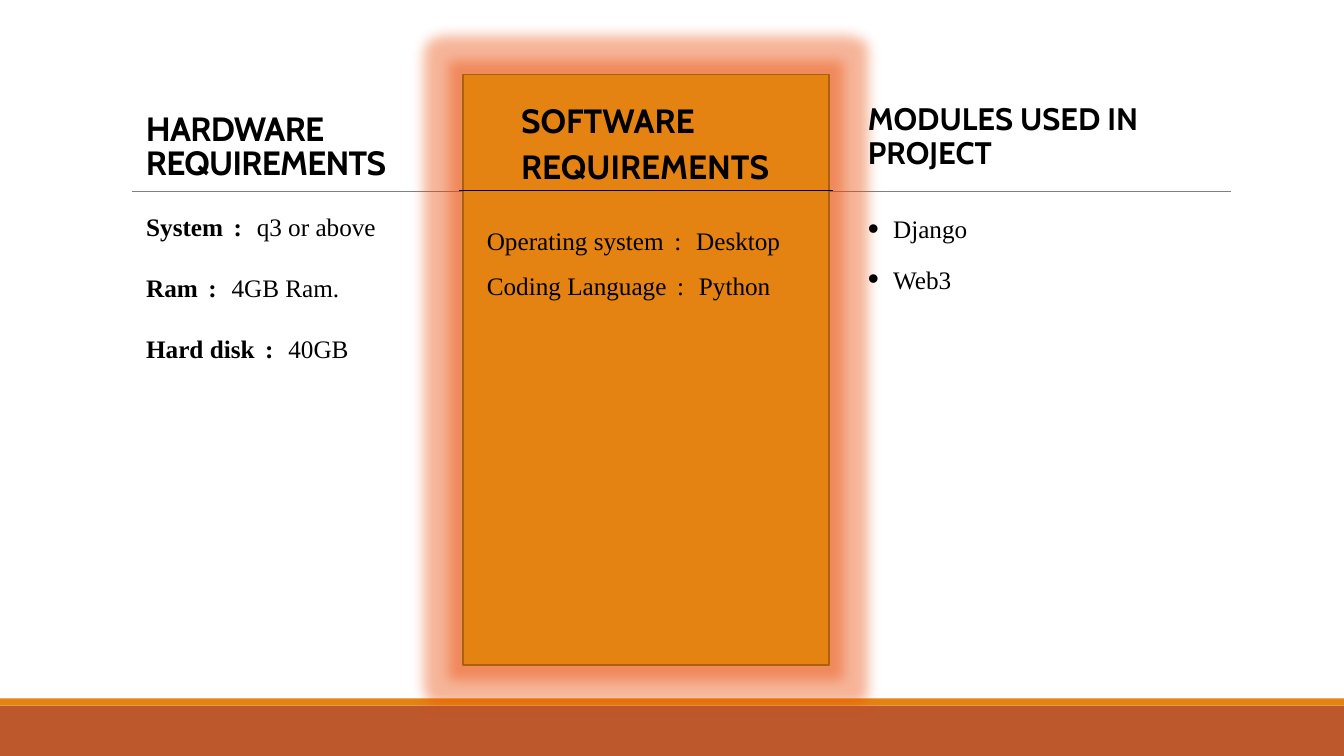
from dataclasses import dataclass

from lxml import etree
from pptx import Presentation
from pptx.dml.color import RGBColor
from pptx.enum.shapes import MSO_CONNECTOR, MSO_SHAPE
from pptx.enum.text import MSO_ANCHOR, MSO_AUTO_SIZE, PP_ALIGN
from pptx.oxml.ns import qn
from pptx.util import Pt

PX = 9144
STRAIGHT = MSO_CONNECTOR.STRAIGHT
RECTANGLE = MSO_SHAPE.RECTANGLE
TOP, MIDDLE, BOTTOM = MSO_ANCHOR.TOP, MSO_ANCHOR.MIDDLE, MSO_ANCHOR.BOTTOM
LEFT, JUSTIFY = PP_ALIGN.LEFT, PP_ALIGN.JUSTIFY
FIT_SHAPE, NO_FIT = MSO_AUTO_SIZE.SHAPE_TO_FIT_TEXT, MSO_AUTO_SIZE.NONE


@dataclass(frozen=True)
class Theme:
    """Colours, fonts and type sizes of the deck."""
    ink: str = "000000"
    rule: str = "808080"
    orange: str = "E48312"
    outline: str = "A9610D"
    rust: str = "BD582C"
    glow: str = "E94700"
    heading_font: str = "Cabin"
    body_font: str = "Times New Roman"
    heading: float = 24
    small_heading: float = 22.2
    body: float = 18


THEME = Theme()


def color(code):
    """Turn a hex code into a colour."""
    return RGBColor.from_string(code)


def add_node(parent, tag, **attributes):
    """Append a drawing element to a parent."""
    return etree.SubElement(parent, qn(tag), {key: str(value) for key, value in attributes.items()})


def add_panel(page, box, fill, line=None, weight=1.25):
    """Add a filled rectangle."""
    panel = page.shapes.add_shape(RECTANGLE, *(length * PX for length in box))
    panel.shadow.inherit = False
    panel.fill.solid()
    panel.fill.fore_color.rgb = color(fill)
    if line:
        panel.line.color.rgb = color(line)
        panel.line.width = Pt(weight)
    else:
        panel.line.fill.background()
    return panel


def add_glow(panel, code, radius, opacity):
    """Surround a panel with a soft glow."""
    effects = panel._element.spPr.find(qn("a:effectLst"))
    glow = add_node(effects, "a:glow", rad=radius * PX)
    tint = add_node(glow, "a:srgbClr", val=code)
    add_node(tint, "a:alpha", val=opacity * 1000)


def add_rule(page, left, right, top, code, weight):
    """Add a horizontal line."""
    rule = page.shapes.add_connector(STRAIGHT, left * PX, top * PX, right * PX, top * PX)
    rule.line.color.rgb = color(code)
    rule.line.width = Pt(weight)
    add_node(rule._element.spPr, "a:effectLst")


def add_text(page, box, paragraphs, size=THEME.body, font=THEME.body_font, bold=False,
             anchor=TOP, align=LEFT, line_spacing=None, before=0, after=0, inset=10,
             indent=0, bullet=None, tracking=0, fit=NO_FIT):
    """Add text; each paragraph is a list of (text, span format) pairs."""
    shape = page.shapes.add_textbox(*(length * PX for length in box))
    frame = shape.text_frame
    frame.word_wrap, frame.auto_size, frame.vertical_anchor = True, fit, anchor
    frame.margin_left = frame.margin_right = inset * PX
    frame.margin_top = frame.margin_bottom = 5 * PX
    for index, spans in enumerate(paragraphs):
        para = frame.add_paragraph() if index else frame.paragraphs[0]
        properties = para._p.get_or_add_pPr()
        if indent:
            properties.set("marL", str(indent * PX))
        if bullet:
            properties.set("indent", str(-indent * PX))
            add_node(properties, "a:buSzPct", val=125000)
            add_node(properties, "a:buFont", typeface="Arial")
            add_node(properties, "a:buChar", char=bullet)
        para.alignment = align
        para.space_before = Pt(before if index else 0)
        para.space_after = Pt(after)
        if line_spacing:
            para.line_spacing = line_spacing
        for text, style in spans:
            span = para.add_run()
            span.text = text
            span.font.name, span.font.size = font, Pt(size)
            span.font.bold = style.get("bold", bold)
            span.font.color.rgb = color(THEME.ink)
            spacing = style.get("tracking", tracking)
            if spacing:
                span.font._element.set("spc", str(round(spacing * 100)))


def add_heading(page, box, text, **style):
    """Add a bold column heading."""
    add_text(page, box, [[(text, {})]], **{
        "size": THEME.heading, "font": THEME.heading_font, "bold": True, **style})


def labelled(label, value, bold=False):
    """Build the spans of a label, a widely set colon and a value."""
    return [(label, {"bold": bold}), (" : ", {"bold": bold, "tracking": 3}), (value, {})]


def add_backdrop(page, box):
    """Add the footer bands and the rule under the headings."""
    left, top, width, height = box
    add_panel(page, (left, top + height - 50, width, 50), THEME.rust)
    add_panel(page, (left, top + height - 57, width, 7), THEME.orange)
    add_rule(page, left + 131, left + 1221, top + 190, THEME.rule, 0.5)


def add_hardware(page, box):
    """Add the hardware column."""
    left, top, width, _ = box
    add_heading(page, (left, top, width, 98), "HARDWARE REQUIREMENTS",
                anchor=BOTTOM, line_spacing=0.85, tracking=-0.5)
    items = [("System", "q3 or above"), ("Ram", "4GB Ram."), ("Hard disk", "40GB")]
    add_text(page, (left, top + 117, width, 195),
             [labelled(label, value, bold=True) for label, value in items],
             before=12, after=10, inset=0, indent=10)


def add_software(page, box):
    """Add the glowing software column."""
    left, top, width, _ = box
    panel = add_panel(page, box, THEME.orange, THEME.outline)
    add_glow(panel, THEME.glow, 25, 40)
    items = [("Operating system", "Desktop"), ("Coding Language", "Python")]
    add_text(page, (left + 14, top + 145, width - 28, 85),
             [labelled(label, value) for label, value in items],
             align=JUSTIFY, after=10, fit=FIT_SHAPE)
    add_heading(page, (left + 48, top + 14, 266, 100), "SOFTWARE REQUIREMENTS",
                line_spacing=1.15, after=10, fit=FIT_SHAPE)
    add_rule(page, left - 4, left + width + 4, top + 115, THEME.ink, 1)


def add_modules(page, box):
    """Add the modules column."""
    left, top, width, _ = box
    add_heading(page, (left, top, width, 65), "MODULES USED IN PROJECT",
                size=THEME.small_heading, anchor=MIDDLE, line_spacing=0.9)
    add_text(page, (left, top + 97, 335, 349), [[(name, {})] for name in ("Django", "Web3")],
             line_spacing=1.2, before=10, indent=25, bullet="•")


def main():
    """Build and save the deck."""
    deck = Presentation()
    deck.slide_width, deck.slide_height = 1333 * PX, 750 * PX
    page = deck.slides.add_slide(deck.slide_layouts[6])
    add_backdrop(page, (0, 0, 1333, 750))
    add_software(page, (459, 74, 363, 586))
    add_hardware(page, (135, 88, 266, 312))
    add_modules(page, (851, 104, 396, 446))
    deck.save("out.pptx")


if __name__ == "__main__":
    main()
